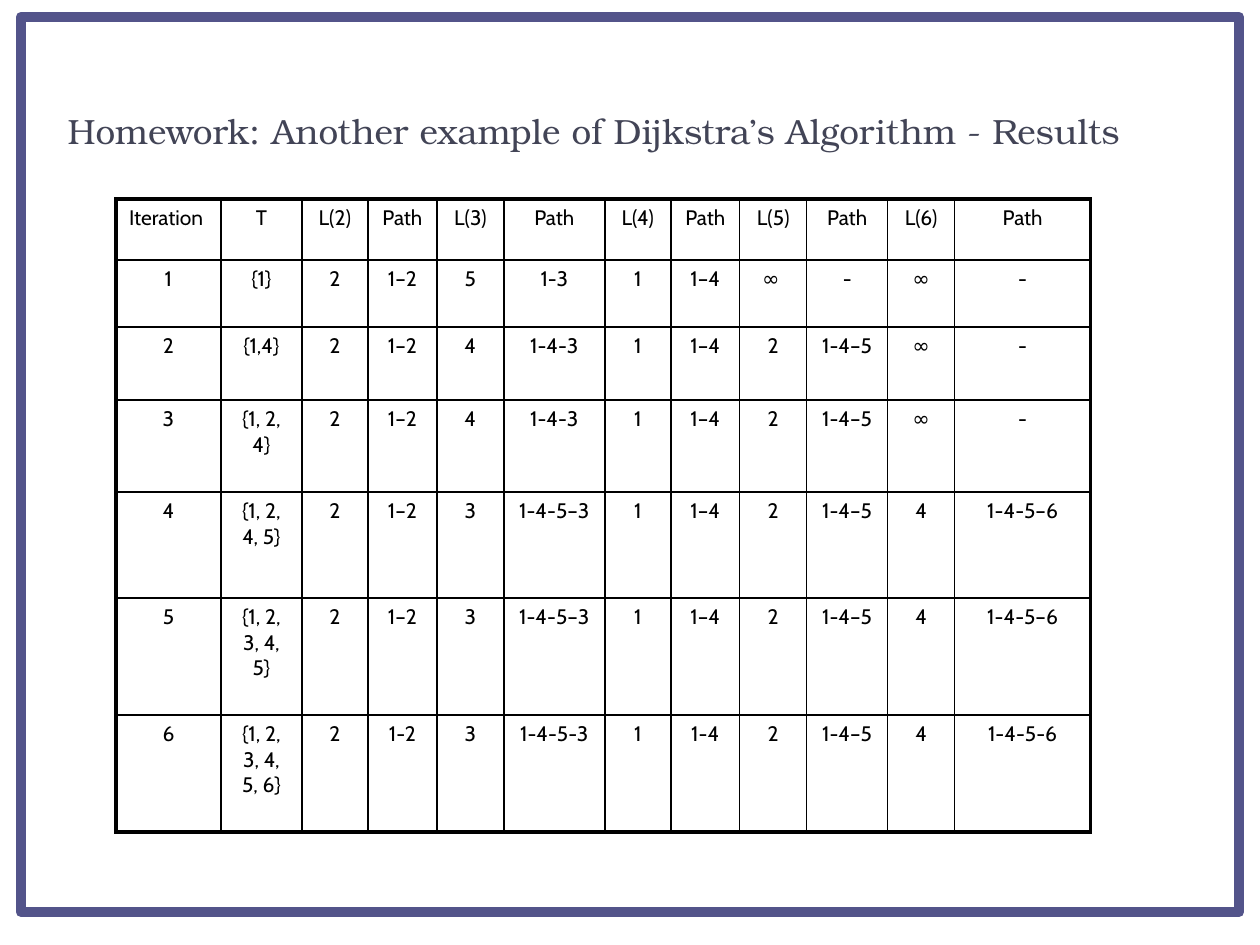
"""Build the results slide for the Dijkstra homework example."""
import lxml.etree
import pptx
import pptx.dml.color
import pptx.enum.shapes
import pptx.enum.text
import pptx.oxml.ns
import pptx.util

BLACK = pptx.dml.color.RGBColor(0x00, 0x00, 0x00)
WHITE = pptx.dml.color.RGBColor(0xFF, 0xFF, 0xFF)
INDIGO = pptx.dml.color.RGBColor(0x53, 0x54, 0x8A)
SLATE = pptx.dml.color.RGBColor(0x42, 0x44, 0x56)

EMU_PER_PX = 914400 / 126
COLUMN_WIDTHS = [105, 81, 66, 69, 67, 101, 66, 69, 67, 81, 67, 136]
ROW_HEIGHTS = [61, 67, 73, 92, 106, 117, 117]
RESULTS = [
    "Iteration |T|L(2)|Path|L(3)|Path|L(4)|Path|L(5)|Path|L(6)|Path",
    "1|{1}|2|1–2|5|1-3|1|1–4|∞ |-|∞|-",
    "2|{1,4}|2|1–2|4|1-4-3|1|1–4|2|1-4–5|∞|-",
    "3|{1, 2, 4}|2|1–2|4|1-4-3|1|1–4|2|1-4–5|∞|-",
    "4|{1, 2, 4, 5}|2|1–2|3|1-4-5–3|1|1–4|2|1-4–5|4|1-4-5–6",
    "5|{1, 2, 3, 4, 5}|2|1–2|3|1-4-5–3|1|1–4|2|1-4–5|4|1-4-5–6",
    "6|{1, 2, 3, 4, 5, 6}|2|1-2|3|1-4-5-3|1|1-4|2|1-4–5|4|1-4-5-6",
]


def px(length):
    return pptx.util.Emu(round(length * EMU_PER_PX))


def set_borders(cell, outer_edges):
    properties = cell._tc.get_or_add_tcPr()
    for position, side in enumerate("LRTB"):
        width = pptx.util.Pt(2.25 if side in outer_edges else 1)
        border = lxml.etree.Element(pptx.oxml.ns.qn(f"a:ln{side}"), w=str(width))
        fill = lxml.etree.SubElement(border, pptx.oxml.ns.qn("a:solidFill"))
        lxml.etree.SubElement(fill, pptx.oxml.ns.qn("a:srgbClr"), val=str(BLACK))
        properties.insert(position, border)


presentation = pptx.Presentation()
presentation.slide_width = px(1260)
presentation.slide_height = px(945)
slide = presentation.slides.add_slide(presentation.slide_layouts[5])

title = slide.shapes.title
title.left, title.top, title.width, title.height = px(55), px(105), px(1130), px(53)
title.text_frame.text = "Homework: Another example of Dijkstra’s Algorithm - Results"
title.text_frame.auto_size = pptx.enum.text.MSO_AUTO_SIZE.NONE
title.text_frame.vertical_anchor = pptx.enum.text.MSO_ANCHOR.BOTTOM
heading = title.text_frame.paragraphs[0]
heading.alignment = pptx.enum.text.PP_ALIGN.LEFT
heading.font.name = "TeX Gyre Bonum"
heading.font.size = pptx.util.Pt(20)
heading.font.color.rgb = SLATE

frame = slide.shapes.add_shape(
    pptx.enum.shapes.MSO_SHAPE.RECTANGLE, px(21), px(17), px(1218), px(895))
frame.shadow.inherit = False
frame.fill.solid()
frame.fill.fore_color.rgb = WHITE
frame.line.color.rgb = INDIGO
frame.line.width = pptx.util.Pt(6)
title.element.addprevious(frame.element)

iterations = slide.shapes.add_table(
    len(ROW_HEIGHTS), len(COLUMN_WIDTHS), px(116), px(199),
    px(sum(COLUMN_WIDTHS)), px(sum(ROW_HEIGHTS))).table
iterations.first_row = False
iterations.horz_banding = False
for column, width in zip(iterations.columns, COLUMN_WIDTHS):
    column.width = px(width)
for row, height in zip(iterations.rows, ROW_HEIGHTS):
    row.height = px(height)

last_row, last_column = len(ROW_HEIGHTS) - 1, len(COLUMN_WIDTHS) - 1
for r, result in enumerate(RESULTS):
    for c, value in enumerate(result.split("|")):
        cell = iterations.cell(r, c)
        cell.text = value
        cell.fill.background()
        entry = cell.text_frame.paragraphs[0]
        entry.alignment = pptx.enum.text.PP_ALIGN.CENTER
        entry.space_before = pptx.util.Pt(2.4)
        entry.font.name = "Cabin"
        entry.font.size = pptx.util.Pt(12)
        entry.font.color.rgb = BLACK
        on_edge = {"L": c == 0, "R": c == last_column, "T": r == 0, "B": r == last_row}
        set_borders(cell, [side for side, outer in on_edge.items() if outer])

presentation.save("out.pptx")
